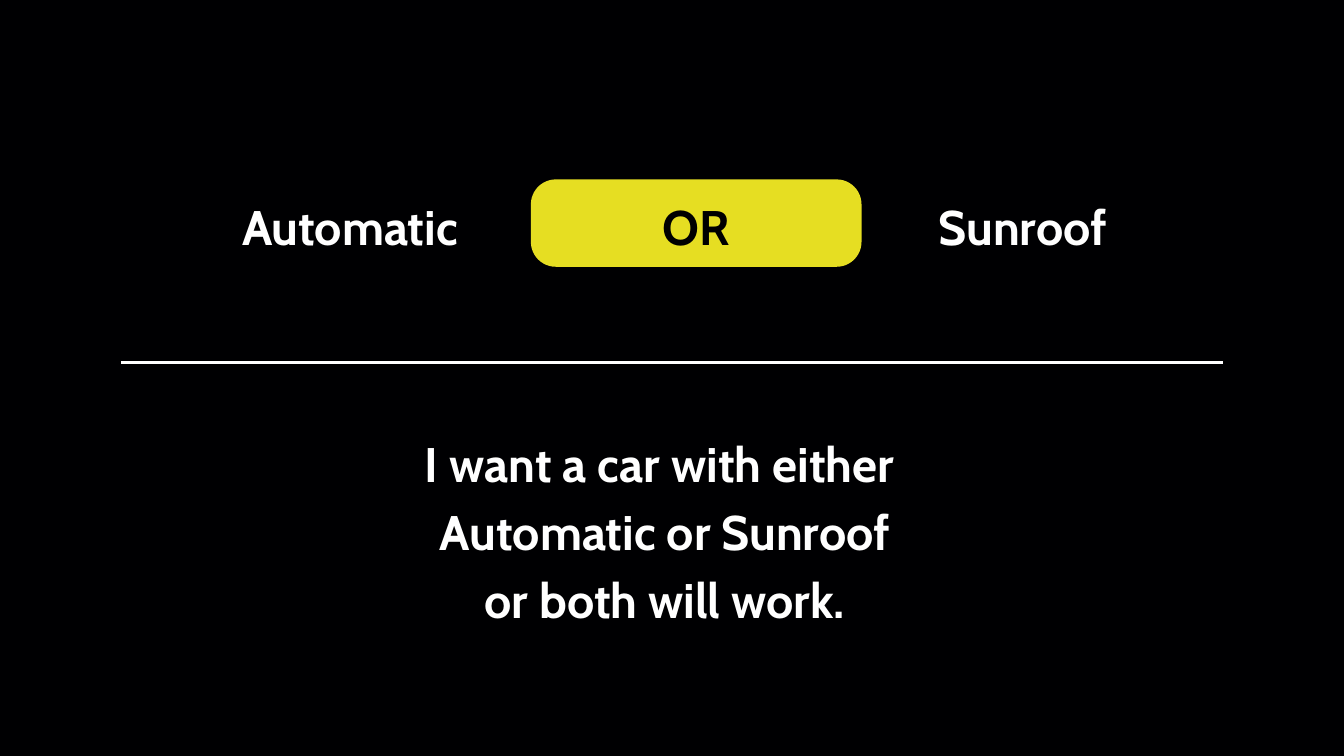
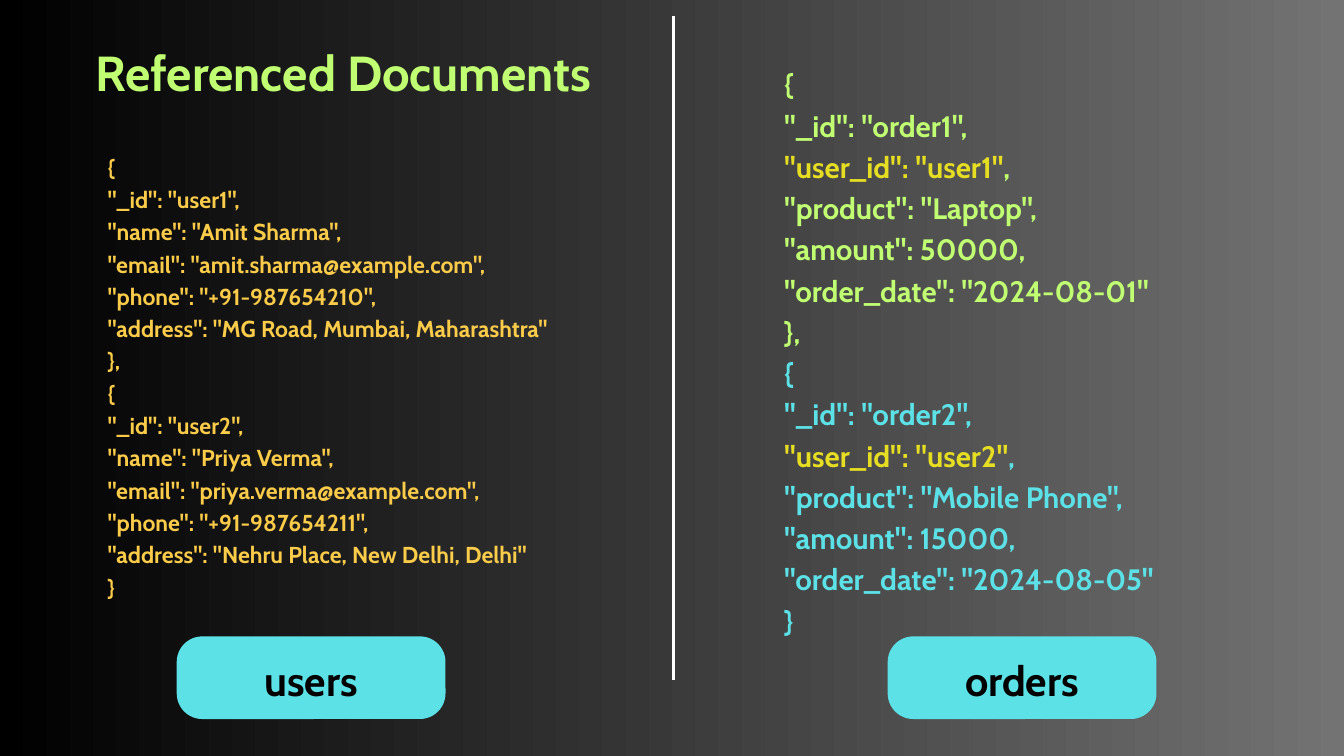
from dataclasses import dataclass

from lxml.etree import SubElement
from pptx import Presentation
from pptx.dml.color import RGBColor
from pptx.enum.shapes import MSO_CONNECTOR, MSO_SHAPE
from pptx.enum.text import MSO_ANCHOR, MSO_AUTO_SIZE, PP_ALIGN
from pptx.oxml.ns import qn
from pptx.util import Inches, Pt


@dataclass(frozen=True)
class Theme:
    font: str = "Cabin"
    line_ratio: float = 1.4
    # Colours
    backdrop: str = "000002"
    black: str = "000000"
    grey: str = "737373"
    white: str = "FFFFFF"
    yellow: str = "E6DE22"
    amber: str = "FBCB4A"
    lime: str = "C1FF72"
    cyan: str = "5CE1E6"
    # Type sizes and line weight in points
    statement_size: float = 52
    title_size: float = 52.6
    label_size: float = 44.5
    users_size: float = 24.7
    orders_size: float = 31.6
    rule_width: float = 3


THEME = Theme()


def color(value):
    return RGBColor.from_string(value)


def write_lines(frame, lines, size, align):
    """Write one paragraph per line; a line is a list of (text, colour) runs."""
    frame.margin_left = frame.margin_right = frame.margin_bottom = 0
    frame.vertical_anchor = MSO_ANCHOR.TOP
    for index, line in enumerate(lines):
        paragraph = frame.add_paragraph() if index else frame.paragraphs[0]
        paragraph.alignment = align
        paragraph.line_spacing = Pt(round(size * THEME.line_ratio, 1))
        for text, run_color in line:
            run = paragraph.add_run()
            run.text = text
            run.font.name = THEME.font
            run.font.size = Pt(size)
            run.font.bold = True
            run.font.color.rgb = color(run_color)


def add_text(slide, left, top, width, height, lines, size, align=PP_ALIGN.CENTER):
    box = slide.shapes.add_textbox(Inches(left), Inches(top), Inches(width), Inches(height))
    frame = box.text_frame
    frame.word_wrap = True
    frame.auto_size = MSO_AUTO_SIZE.SHAPE_TO_FIT_TEXT
    frame.margin_top = 0
    write_lines(frame, lines, size, align)


def add_label(slide, left, top, width, height, radius, text, size, fill, inset):
    shape = slide.shapes.add_shape(
        MSO_SHAPE.ROUNDED_RECTANGLE, Inches(left), Inches(top), Inches(width), Inches(height))
    shape.adjustments[0] = radius / height
    shape.shadow.inherit = False
    shape.fill.solid()
    shape.fill.fore_color.rgb = color(fill)
    shape.line.fill.background()
    shape.text_frame.margin_top = Inches(inset)
    write_lines(shape.text_frame, [[(text, THEME.black)]], size, PP_ALIGN.CENTER)


def add_rule(slide, start_x, start_y, end_x, end_y):
    rule = slide.shapes.add_connector(
        MSO_CONNECTOR.STRAIGHT, Inches(start_x), Inches(start_y), Inches(end_x), Inches(end_y))
    rule.line.color.rgb = color(THEME.white)
    rule.line.width = Pt(THEME.rule_width)
    SubElement(rule.element.spPr, qn("a:effectLst"))


def one_color(texts, text_color):
    return [[(text, text_color)] for text in texts]


def user_lines(number, name, email, phone, address, ending):
    return one_color([
        "{",
        f'"_id": "user{number}",',
        f'"name": "{name}",',
        f'"email": "{email}",',
        f'"phone": "{phone}",',
        f'"address": "{address}"',
        ending,
    ], THEME.amber)


def order_lines(number, product, amount, date, ending, text_color):
    lines = one_color([
        "{",
        f'"_id": "order{number}",',
        f'"product": "{product}",',
        f'"amount": {amount},',
        f'"order_date": "{date}"',
        ending,
    ], text_color)
    # The reference to the user stands out in yellow
    lines.insert(2, [(f'"user_id": "user{number}"', THEME.yellow), (",", text_color)])
    return lines


def build_or_slide(slide):
    slide.background.fill.solid()
    slide.background.fill.fore_color.rgb = color(THEME.backdrop)

    # Two conditions joined by the operator
    size = THEME.statement_size
    add_label(slide, 7.9, 2.67, 4.92, 1.3, 0.37, "OR", size, THEME.yellow, 0.01)
    for text, left, width in (("Automatic", 3.36, 3.7), ("Sunroof", 13.8, 2.84)):
        add_text(slide, left, 2.79, width, 0.97, one_color([text], THEME.white), size)
    add_rule(slide, 1.8, 5.4, 18.2, 5.4)

    # Meaning in plain words
    statement = ["I want a car with either ", "Automatic or Sunroof", "or both will work."]
    add_text(slide, 3.15, 6.31, 13.49, 2.99, one_color(statement, THEME.white), size)


def build_references_slide(slide):
    fill = slide.background.fill
    fill.gradient()
    fill.gradient_angle = 0
    for stop, position, stop_color in zip(fill.gradient_stops, (0, 1), (THEME.black, THEME.grey)):
        stop.position = position
        stop.color.rgb = color(stop_color)

    add_text(slide, 0, 0.48, 10.21, 0.98,
             one_color(["Referenced Documents"], THEME.lime), THEME.title_size)

    # The two collections, side by side
    users = (user_lines(1, "Amit Sharma", "amit.sharma@example.com", "+91-987654210",
                        "MG Road, Mumbai, Maharashtra", "},")
             + user_lines(2, "Priya Verma", "priya.verma@example.com", "+91-987654211",
                          "Nehru Place, New Delhi, Delhi", "}"))
    orders = (order_lines(1, "Laptop", 50000, "2024-08-01", "},", THEME.lime)
              + order_lines(2, "Mobile Phone", 15000, "2024-08-05", "}", THEME.cyan))
    add_text(slide, 1.6, 2.21, 7.51, 7.1, users, THEME.users_size, PP_ALIGN.LEFT)
    add_rule(slide, 10.02, 0.24, 10.02, 10.12)
    add_text(slide, 11.67, 0.9, 5.95, 9.05, orders, THEME.orders_size, PP_ALIGN.LEFT)

    # Collection names
    for name, left in (("users", 2.63), ("orders", 13.21)):
        add_label(slide, left, 9.47, 4, 1.23, 0.38, name, THEME.label_size, THEME.cyan, 0.04)


def main():
    presentation = Presentation()
    presentation.slide_width = Inches(20)
    presentation.slide_height = Inches(11.25)
    blank = presentation.slide_layouts[6]
    for build in (build_or_slide, build_references_slide):
        build(presentation.slides.add_slide(blank))
    presentation.save("out.pptx")


if __name__ == "__main__":
    main()
